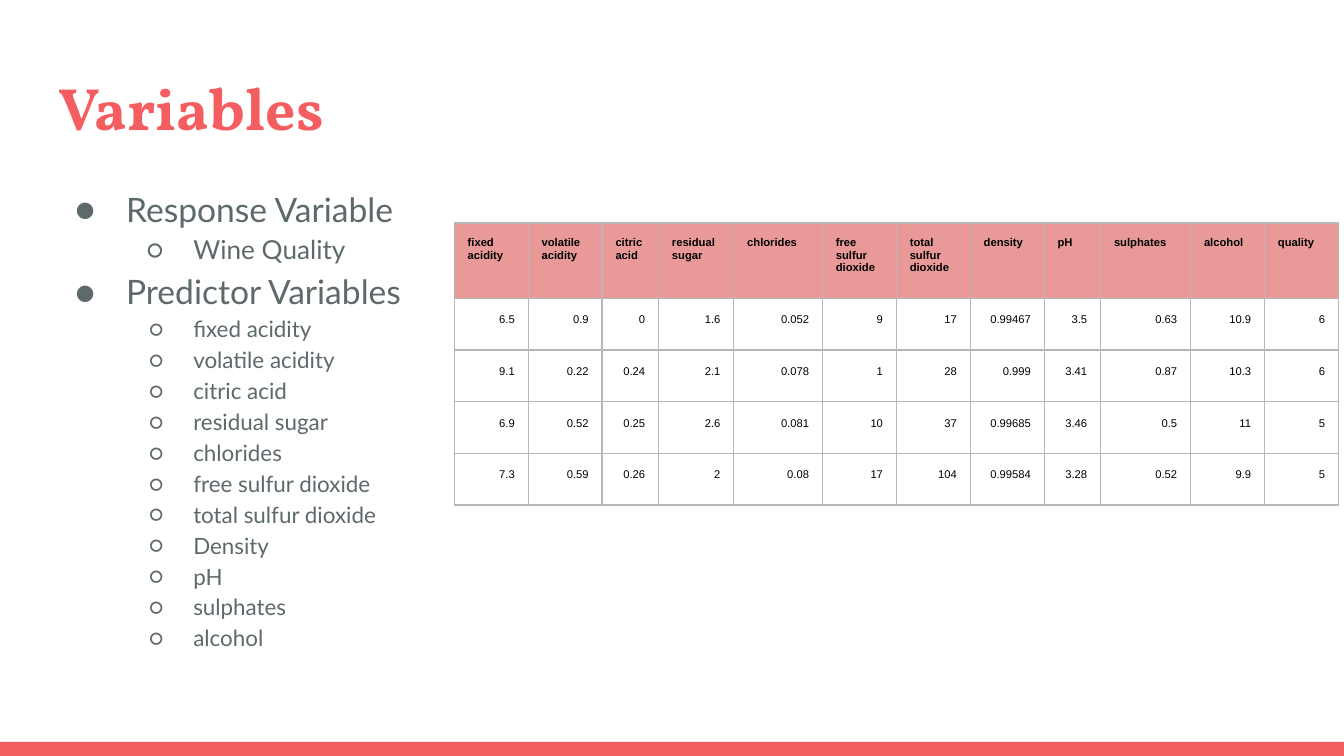
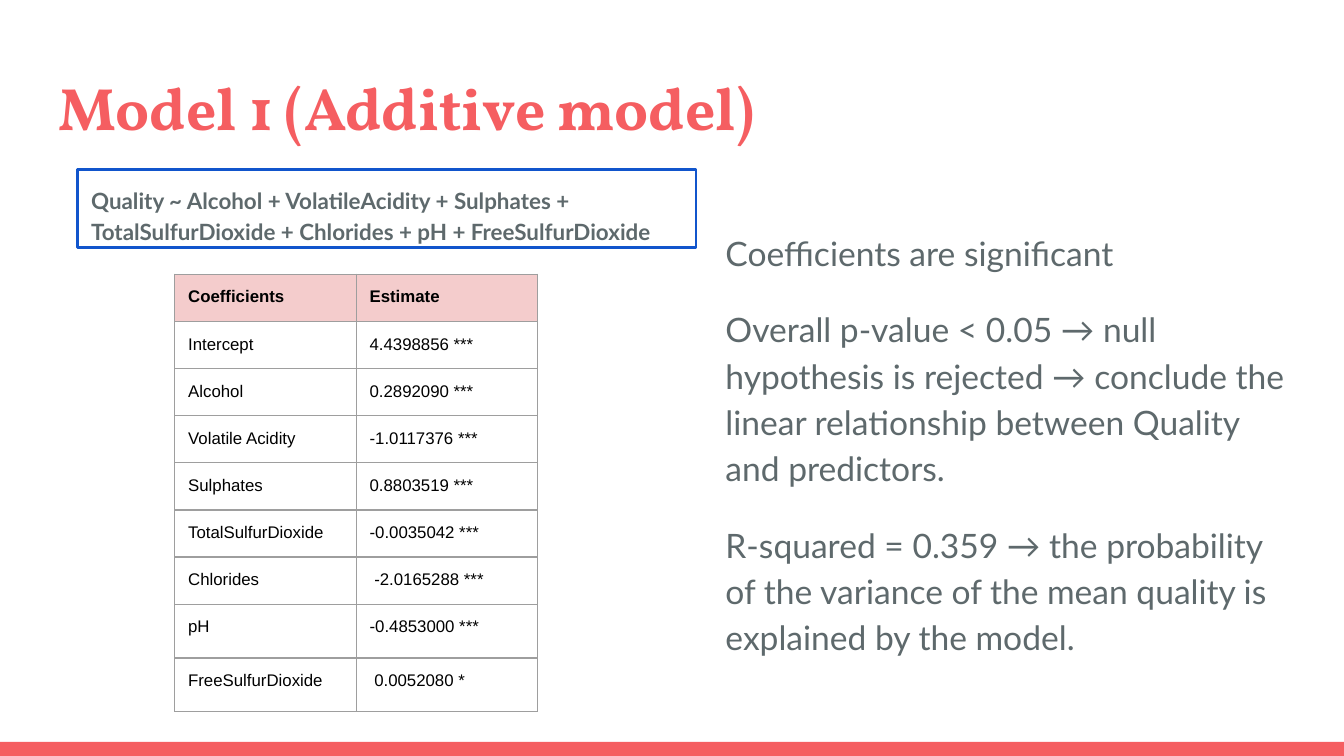
from lxml.etree import SubElement
from pptx import Presentation
from pptx.dml.color import RGBColor
from pptx.enum.shapes import MSO_SHAPE as Preset
from pptx.enum.text import MSO_ANCHOR as Anchor, PP_ALIGN as Align
from pptx.oxml.ns import qn
from pptx.util import Inches, Pt

COLORS = {
    "accent": "F55E61",
    "body": "5E696C",
    "black": "000000",
    "formula_line": "1155CC",
    "data_header": "EA9999",
    "data_border": "B7B7B7",
    "model_header": "F4CCCC",
    "model_border": "9E9E9E",
}
TITLE_FONT, BODY_FONT, TABLE_FONT = "Vollkorn", "Lato", "Arial"
LINE_SPACING = 1.15
BULLETS = {0: ("●", 0.5), 1: ("○", 1)}
HANGING = {18: 0.38, 14: 0.35, 12: 0.33}

VARIABLES = [
    ("Response Variable", 0, 18),
    ("Wine Quality", 1, 14),
    ("Predictor Variables", 0, 18),
] + [(name, 1, 12) for name in (
    "fixed acidity", "volatile acidity", "citric acid", "residual sugar",
    "chlorides", "free sulfur dioxide", "total sulfur dioxide", "Density",
    "pH", "sulphates", "alcohol",
)]

WINE_ROWS = [
    ["fixed acidity", "volatile acidity", "citric acid", "residual sugar",
     "chlorides", "free sulfur dioxide", "total sulfur dioxide", "density",
     "pH", "sulphates", "alcohol", "quality"],
    ["6.5", "0.9", "0", "1.6", "0.052", "9", "17", "0.99467", "3.5", "0.63", "10.9", "6"],
    ["9.1", "0.22", "0.24", "2.1", "0.078", "1", "28", "0.999", "3.41", "0.87", "10.3", "6"],
    ["6.9", "0.52", "0.25", "2.6", "0.081", "10", "37", "0.99685", "3.46", "0.5", "11", "5"],
    ["7.3", "0.59", "0.26", "2", "0.08", "17", "104", "0.99584", "3.28", "0.52", "9.9", "5"],
]
WINE_WIDTHS = [0.55, 0.55, 0.42, 0.56, 0.66, 0.55, 0.55, 0.55, 0.42, 0.67, 0.55, 0.55]

COEFFICIENT_ROWS = [
    ["Coefficients", "Estimate"],
    ["Intercept", "4.4398856 ***"],
    ["Alcohol", "0.2892090 ***"],
    ["Volatile Acidity", "-1.0117376 ***"],
    ["Sulphates", "0.8803519 ***"],
    ["TotalSulfurDioxide", "-0.0035042 ***"],
    ["Chlorides", " -2.0165288 ***"],
    ["pH", "-0.4853000 ***"],
    ["FreeSulfurDioxide", " 0.0052080 *"],
]

FORMULA = ("Quality ~ Alcohol + VolatileAcidity + Sulphates + "
           "TotalSulfurDioxide + Chlorides + pH + FreeSulfurDioxide")
FINDINGS = [
    "Coefficients are significant",
    "Overall p-value < 0.05 → null hypothesis is rejected → conclude the "
    "linear relationship between Quality and predictors.",
    "R-squared = 0.359 → the probability of the variance of the mean quality "
    "is explained by the model.",
]


def rgb(name):
    return RGBColor.from_string(COLORS[name])


def format_runs(paragraph, size, font, color, bold=False):
    for run in paragraph.runs:
        run.font.size = Pt(size)
        run.font.name = font
        run.font.bold = bold
        run.font.color.rgb = rgb(color)


def set_insets(target):
    target.margin_left = target.margin_right = Inches(0.1)
    target.margin_top = target.margin_bottom = Inches(0.1)


def prepare_frame(shape):
    text_frame = shape.text_frame
    text_frame.word_wrap = True
    text_frame.vertical_anchor = Anchor.TOP
    set_insets(text_frame)
    return text_frame


def add_text_frame(slide, *box):
    return prepare_frame(slide.shapes.add_textbox(*map(Inches, box)))


def add_rectangle(slide, *box):
    shape = slide.shapes.add_shape(Preset.RECTANGLE, *map(Inches, box))
    shape.shadow.inherit = False
    return shape


def add_titled_slide(presentation, title):
    slide = presentation.slides.add_slide(presentation.slide_layouts[6])
    band = add_rectangle(slide, 0, 5.52, 10, 0.11)
    band.fill.solid()
    band.fill.fore_color.rgb = rgb("accent")
    band.line.fill.background()
    text_frame = add_text_frame(slide, 0.34, 0.43, 9.32, 0.68)
    text_frame.text = title
    format_runs(text_frame.paragraphs[0], 32, TITLE_FONT, "accent", True)
    return slide


def set_bullet(paragraph, level, size):
    character, indent = BULLETS[level]
    paragraph.level = level
    properties = paragraph._p.get_or_add_pPr()
    properties.set("marL", str(Inches(indent)))
    properties.set("indent", str(-Inches(HANGING[size])))
    bullet_color = SubElement(properties, qn("a:buClr"))
    SubElement(bullet_color, qn("a:srgbClr"), val=COLORS["body"])
    SubElement(properties, qn("a:buFont"), typeface=BODY_FONT)
    SubElement(properties, qn("a:buChar"), char=character)


def add_bullet_list(slide, items, *box):
    text_frame = add_text_frame(slide, *box)
    text_frame.text = "\n".join(text for text, _, _ in items)
    for paragraph, (_, level, size) in zip(text_frame.paragraphs, items):
        paragraph.line_spacing = LINE_SPACING
        set_bullet(paragraph, level, size)
        format_runs(paragraph, size, BODY_FONT, "body")


def add_findings(slide, findings, *box):
    text_frame = add_text_frame(slide, *box)
    text_frame.text = "\n".join(findings)
    for paragraph in text_frame.paragraphs:
        paragraph.line_spacing = LINE_SPACING
        format_runs(paragraph, 18, BODY_FONT, "body")
    for paragraph in text_frame.paragraphs[1:]:
        paragraph.space_before = Pt(16)
    text_frame.paragraphs[-1].space_after = Pt(16)


def add_formula(slide, formula, *box):
    shape = add_rectangle(slide, *box)
    shape.fill.background()
    shape.line.color.rgb = rgb("formula_line")
    shape.line.width = Pt(1.5)
    text_frame = prepare_frame(shape)
    text_frame.text = formula
    paragraph = text_frame.paragraphs[0]
    paragraph.alignment = Align.LEFT
    paragraph.line_spacing = LINE_SPACING
    format_runs(paragraph, 12, BODY_FONT, "body", True)


def set_borders(cell, color):
    properties = cell._tc.get_or_add_tcPr()
    for side in ("lnL", "lnR", "lnT", "lnB"):
        line = SubElement(properties, qn(f"a:{side}"), w=str(Pt(0.75)))
        fill = SubElement(line, qn("a:solidFill"))
        SubElement(fill, qn("a:srgbClr"), val=COLORS[color])


def add_grid(slide, rows, left, top, widths, heights, size, palette, numeric=False):
    box = map(Inches, (left, top, sum(widths), sum(heights)))
    table = slide.shapes.add_table(len(rows), len(widths), *box).table
    table.first_row = table.horz_banding = False
    for column, width in zip(table.columns, widths):
        column.width = Inches(width)
    for row, height in zip(table.rows, heights):
        row.height = Inches(height)
    for row_index, row in enumerate(rows):
        header = row_index == 0
        for column_index, text in enumerate(row):
            cell = table.cell(row_index, column_index)
            set_insets(cell)
            set_borders(cell, f"{palette}_border")
            if header:
                cell.fill.solid()
                cell.fill.fore_color.rgb = rgb(f"{palette}_header")
            else:
                cell.fill.background()
            cell.text_frame.text = text
            paragraph = cell.text_frame.paragraphs[0]
            if numeric and not header:
                paragraph.alignment = Align.RIGHT
                paragraph.line_spacing = LINE_SPACING
            format_runs(paragraph, size, TABLE_FONT, "black", header)


def build_variables(presentation):
    slide = add_titled_slide(presentation, "Variables")
    add_bullet_list(slide, VARIABLES, 0.34, 1.26, 3.04, 3.74)
    add_grid(slide, WINE_ROWS, 3.38, 1.66, WINE_WIDTHS, [0.56] + [0.385] * 4,
             6, "data", numeric=True)


def build_additive_model(presentation):
    slide = add_titled_slide(presentation, "Model 1 (Additive model)")
    add_findings(slide, FINDINGS, 5.3, 1.59, 4.36, 3.74)
    add_formula(slide, FORMULA, 0.58, 1.26, 4.6, 0.58)
    add_grid(slide, COEFFICIENT_ROWS, 1.3, 2.04, [1.35] * 2,
             [0.34] * 7 + [0.4] * 2, 9, "model")


def main():
    presentation = Presentation()
    presentation.slide_width = Inches(10)
    presentation.slide_height = Inches(5.625)
    build_variables(presentation)
    build_additive_model(presentation)
    presentation.save("out.pptx")


if __name__ == "__main__":
    main()
